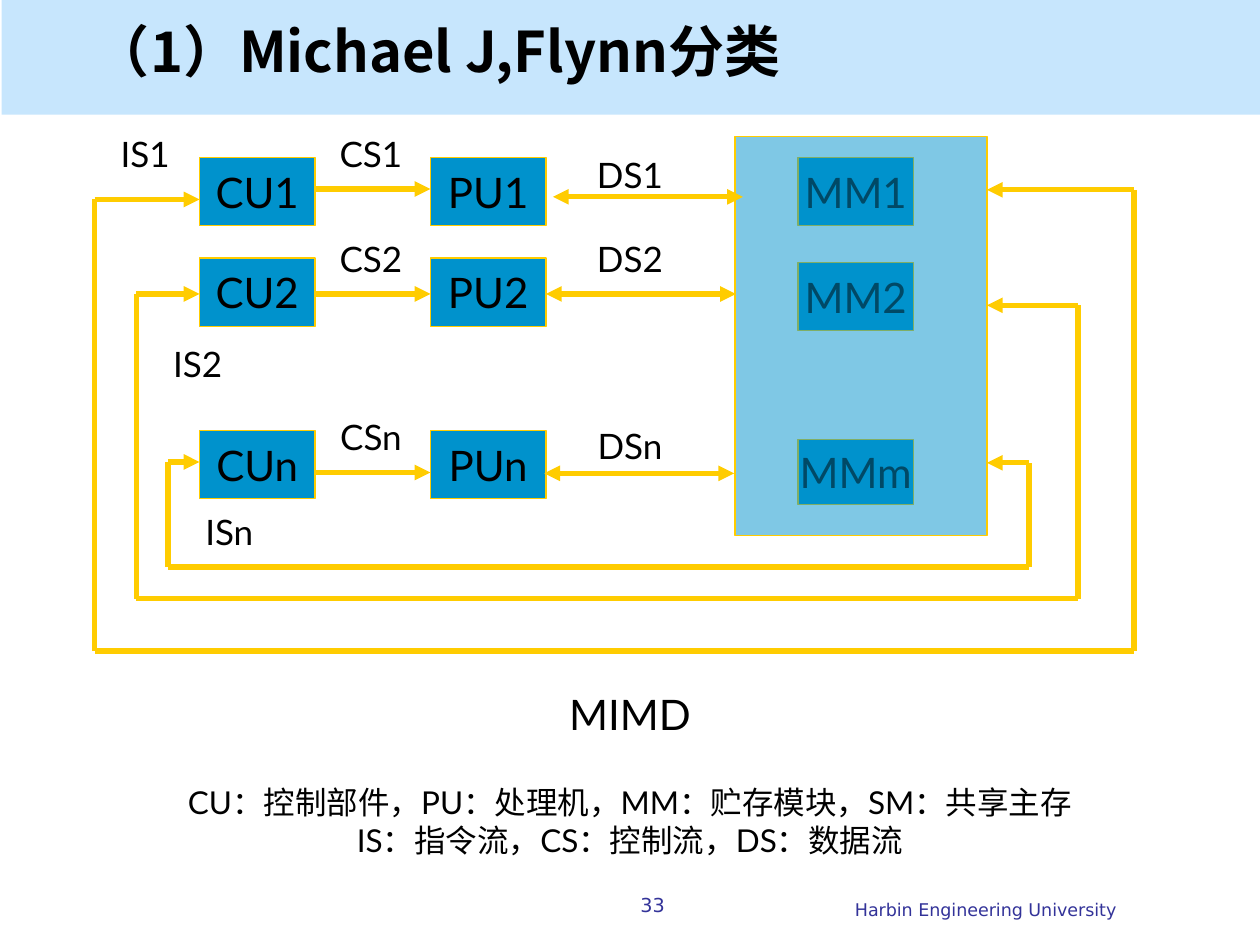
import pptx
import pptx.dml.color
import pptx.enum.shapes
import pptx.enum.text
import pptx.oxml.ns
import pptx.util
from dataclasses import dataclass
from lxml import etree

Pt = pptx.util.Pt
RGB = pptx.dml.color.RGBColor.from_string
qn = pptx.oxml.ns.qn
ALIGN = pptx.enum.text.PP_ALIGN
ANCHOR = pptx.enum.text.MSO_ANCHOR


@dataclass(frozen=True)
class Theme:
    band: str = "C7E6FD"
    block: str = "0092CC"
    flow: str = "FFCC00"
    footer: str = "333399"
    ink: str = "000000"
    latin: str = "Lato"
    cjk: str = "Noto Sans CJK SC"
    small: str = "DejaVu Sans"
    title_size: float = 32
    block_size: float = 24
    label_size: float = 20
    legend_size: float = 18
    number_size: float = 11
    footer_size: float = 10


T = Theme()


def write(tf, lines, size, font=T.latin, color=T.ink, bold=False,
          align=ALIGN.CENTER, anchor=ANCHOR.TOP, wrap=True):
    """Fill a text frame with equally formatted paragraphs."""
    tf.word_wrap = wrap
    tf.auto_size = pptx.enum.text.MSO_AUTO_SIZE.NONE
    tf.vertical_anchor = anchor
    tf.text = "\n".join(lines)
    for p in tf.paragraphs:
        p.alignment = align
        f = p.font
        f.size, f.name, f.bold = Pt(size), font, bold
        f.color.rgb = RGB(color)
        ea = etree.SubElement(f._element, qn("a:ea"))
        ea.set("typeface", T.cjk)


def add_text(s, x, y, w, h, lines, size, **style):
    tb = s.shapes.add_textbox(Pt(x), Pt(y), Pt(w), Pt(h))
    write(tb.text_frame, lines, size, **style)


def add_rect(s, x, y, w, h, fill, line=None, alpha=None):
    sp = s.shapes.add_shape(pptx.enum.shapes.MSO_SHAPE.RECTANGLE,
                            Pt(x), Pt(y), Pt(w), Pt(h))
    sp.shadow.inherit = False
    sp.fill.solid()
    sp.fill.fore_color.rgb = RGB(fill)
    if alpha is not None:
        clr = sp.element.spPr.find(qn("a:solidFill"))[0]
        etree.SubElement(clr, qn("a:alpha")).set("val", str(alpha * 1000))
    if line:
        sp.line.color.rgb = RGB(line)
        sp.line.width = Pt(0.75)
    else:
        sp.line.fill.background()
    return sp


def add_block(s, x, y, label, h=39):
    sp = add_rect(s, x, y, 66, h, T.block, T.flow)
    write(sp.text_frame, [label], T.block_size, anchor=ANCHOR.MIDDLE, wrap=False)


def add_line(s, x1, y1, x2, y2, head=False, tail=False):
    c = s.shapes.add_connector(pptx.enum.shapes.MSO_CONNECTOR.STRAIGHT,
                               Pt(x1), Pt(y1), Pt(x2), Pt(y2))
    c.line.color.rgb = RGB(T.flow)
    c.line.width = Pt(3)
    ln = c.line._get_or_add_ln()
    for tag, wanted in (("a:headEnd", head), ("a:tailEnd", tail)):
        if wanted:
            etree.SubElement(ln, qn(tag)).set("type", "triangle")
    etree.SubElement(c.element.spPr, qn("a:effectLst"))


def add_loop(s, left, right, bottom, cu_y, mm_y, cu_x, mm_x):
    """Instruction stream running from memory back to a control unit."""
    add_line(s, left, bottom, right, bottom)
    add_line(s, left, bottom, left, cu_y)
    add_line(s, left, cu_y, cu_x, cu_y, tail=True)
    add_line(s, right, bottom, right, mm_y)
    add_line(s, right, mm_y, mm_x, mm_y, tail=True)


def add_title(s, text):
    title = s.shapes.title
    title.left, title.top, title.width, title.height = Pt(46.5), Pt(6), Pt(618), Pt(48)
    write(title.text_frame, [text], T.title_size, font=T.cjk, bold=True,
          align=ALIGN.LEFT)
    title.element.getparent().append(title.element)  # above the band


def add_diagram(s):
    cu_x, pu_x, mm_x = 114, 246, 456
    panel_x, panel_w = 420, 144
    names = ("1", "2", "n")

    # Processing units and memory modules
    for name, y in zip(names, (90, 147.5, 246)):
        add_block(s, cu_x, y, "CU" + name)
        add_block(s, pu_x, y, "PU" + name)
    for name, y, h in (("1", 90, 39), ("2", 150, 39), ("m", 251, 37.5)):
        add_block(s, mm_x, y, "MM" + name, h)
    add_rect(s, panel_x, 78, panel_w, 228, T.block, T.flow, alpha=50)

    # Control and data streams
    for y in (108, 168, 270):
        add_line(s, cu_x + 66, y, pu_x, y, tail=True)
    for x, y in ((316, 112.5), (312, 168), (311, 270.5)):
        add_line(s, x, y, x + 108.5, y, head=True, tail=True)

    # Instruction streams: left, right, bottom, entry at CU, exit at memory
    for loop in ((54, 648, 372, 114, 108.5),
                 (78, 616, 342, 168, 174.5),
                 (96, 588, 324, 264, 264.5)):
        add_loop(s, *loop, cu_x, panel_x + panel_w)

    # Stream labels
    places = {"CS": (64, ((180, 72), (180, 132), (180, 234))),
              "DS": (64, ((328, 84), (328, 132), (328, 239))),
              "IS": (46, ((60, 72), (90, 192), (108, 288)))}
    for stream, (w, spots) in places.items():
        for name, (x, y) in zip(names, spots):
            add_text(s, x, y, w, 32, [stream + name], T.label_size)


def add_footer(s):
    add_text(s, 333, 510, 312, 24, ["Harbin Engineering University"],
             T.footer_size, font=T.small, color=T.footer, align=ALIGN.RIGHT)
    add_text(s, 289, 507, 168, 24, ["33"], T.number_size, font=T.small,
             color=T.footer)


def main():
    prs = pptx.Presentation()
    prs.slide_width, prs.slide_height = Pt(720), Pt(540)
    s = prs.slides.add_slide(prs.slide_layouts[5])

    # Heading
    add_rect(s, 1, 0, 719, 65.5, T.band)
    add_title(s, "（1）Michael J,Flynn分类")

    # Diagram with caption and legend
    add_diagram(s)
    add_text(s, 312, 390, 96, 36, ["MIMD"], T.block_size)
    add_text(s, 86, 444, 548, 50,
             ["CU：控制部件，PU：处理机，MM：贮存模块，SM：共享主存",
              "IS：指令流，CS：控制流，DS：数据流"], T.legend_size)

    # University name and page number
    add_footer(s)
    prs.save("out.pptx")


if __name__ == "__main__":
    main()
